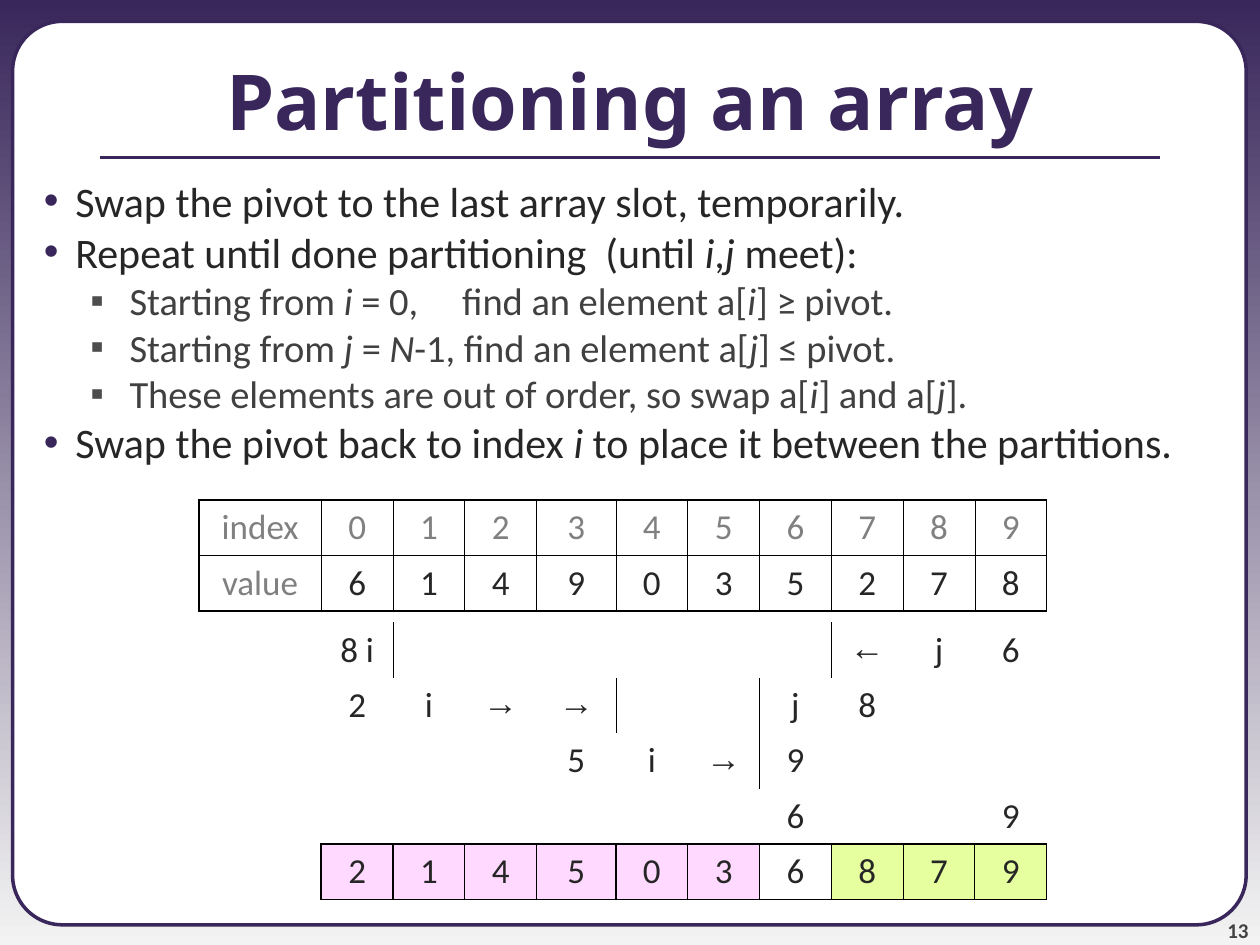
from dataclasses import dataclass
from typing import Any

from lxml import etree
from pptx import Presentation
from pptx.dml.color import RGBColor
from pptx.enum.shapes import MSO_CONNECTOR, MSO_SHAPE
from pptx.enum.text import MSO_ANCHOR, MSO_AUTO_SIZE, PP_ALIGN
from pptx.oxml.ns import qn
from pptx.util import Inches, Pt

CARD, LINE = MSO_SHAPE.ROUNDED_RECTANGLE, MSO_CONNECTOR.STRAIGHT
MID, LOW = MSO_ANCHOR.MIDDLE, MSO_ANCHOR.BOTTOM
CENTER, RIGHT = PP_ALIGN.CENTER, PP_ALIGN.RIGHT

PURPLE = RGBColor(0x39, 0x27, 0x5B)
PALE = RGBColor(0xF3, 0xF3, 0xF3)
WHITE = RGBColor(0xFF, 0xFF, 0xFF)
BLACK = RGBColor(0, 0, 0)
INK = RGBColor(0x26, 0x26, 0x26)
DARK = RGBColor(0x40, 0x40, 0x40)
SLATE = RGBColor(0x4D, 0x4D, 0x4D)
NUMBER = RGBColor(0x42, 0x42, 0x42)
GRAY = RGBColor(0x80, 0x80, 0x80)
PINK = RGBColor(0xFF, 0xD9, 0xFF)
LIME = RGBColor(0xE6, 0xFF, 0x9F)

BODY, HEAD, ARROW = "Calibri", "Noto Sans", "Arial"
THICK, MEDIUM, THIN = 1.08, 0.75, 0.45
WIDTHS = [0.97] + [0.57] * 3 + [0.63] + [0.57] * 6
ROW = 0.44


@dataclass
class Level:
    mark: str
    tint: RGBColor
    color: RGBColor
    size: float
    left: float
    hang: float
    gap: float


@dataclass
class Item:
    level: Level
    text: str  # odd parts between asterisks are italic
    tab: float = 0


@dataclass
class Edges:
    left: float = 0
    right: float = 0
    top: float = 0
    bottom: float = 0


MAIN = Level("•", PURPLE, INK, 24, 0.5, 0.25, 6)
SUB = Level("▪", SLATE, DARK, 22, 0.93, 0.31, 5.5)
ITEMS = [
    Item(MAIN, "Swap the pivot to the last array slot, temporarily."),
    Item(MAIN, "Repeat until done partitioning  (until *i*,*j* meet):"),
    Item(SUB, "Starting from *i* = 0,\tfind an element a[*i*] ≥ pivot.", 3.57),
    Item(SUB, "Starting from *j* = *N*-1, find an element a[*j*] ≤ pivot."),
    Item(SUB, "These elements are out of order, so swap a[*i*] and a[*j*]."),
    Item(MAIN, "Swap the pivot back to index *i* to place it between the partitions."),
]
ARRAY = [["index", *"0123456789"], ["value", *"6149035278"]]
STEPS = [
    ["", "8 i", "", "", "", "", "", "", "←", "j", "6"],
    ["", "2", "i", "→", "→", "", "", "j", "8", "", ""],
    ["", "", "", "", "5", "i", "→", "9", "", "", ""],
    ["", "", "", "", "", "", "", "6", "", "", "9"],
    ["", *"2145036879"],
]
BARS = {(0, 1), (0, 7), (1, 4), (1, 6), (2, 6)}  # cells with a bar on the right
LAST = len(WIDTHS) - 1
DONE = len(STEPS) - 1


def style(para: Any, size: float, color: RGBColor, face: str = BODY,
          bold: bool = False) -> None:
    font = para.font
    font.size, font.name, font.bold = Pt(size), face, bold
    font.color.rgb = color


def add_box(slide: Any, left: float, top: float, wide: float, high: float) -> Any:
    frame = slide.shapes.add_textbox(
        Inches(left), Inches(top), Inches(wide), Inches(high)).text_frame
    frame.word_wrap = True
    return frame


def add_mark(para: Any, item: Item) -> None:
    level = item.level
    props = para._p.get_or_add_pPr()
    props.set("marL", str(Inches(level.left)))
    props.set("indent", str(-Inches(level.hang)))
    tint = etree.SubElement(props, qn("a:buClr"))
    etree.SubElement(tint, qn("a:srgbClr"), val=str(level.tint))
    etree.SubElement(props, qn("a:buFont"), typeface=ARROW)
    etree.SubElement(props, qn("a:buChar"), char=level.mark)
    if item.tab:
        tabs = etree.SubElement(props, qn("a:tabLst"))
        etree.SubElement(tabs, qn("a:tab"), pos=str(Inches(item.tab)), algn="l")


def add_items(slide: Any, items: list[Item]) -> None:
    frame = add_box(slide, 0, 1.42, 10, 2.45)
    for num, item in enumerate(items):
        para = frame.add_paragraph() if num else frame.paragraphs[0]
        add_mark(para, item)
        para.line_spacing = 0.8
        if num:
            para.space_before = Pt(item.level.gap)
        style(para, item.level.size, item.level.color)
        for part, text in enumerate(item.text.split("*")):
            run = para.add_run()
            run.text = text
            if part % 2:
                run.font.italic = True


def draw_edges(cell: Any, edges: Edges) -> None:
    props = cell._tc.get_or_add_tcPr()
    for tag, width in (("a:lnL", edges.left), ("a:lnR", edges.right),
                       ("a:lnT", edges.top), ("a:lnB", edges.bottom)):
        line = etree.SubElement(props, qn(tag), w=str(Pt(width)))
        if width:
            fill = etree.SubElement(line, qn("a:solidFill"))
            etree.SubElement(fill, qn("a:srgbClr"), val=str(BLACK))
        else:
            etree.SubElement(line, qn("a:noFill"))


def array_edges(row: int, col: int) -> Edges:
    return Edges(THIN if col else THICK, THICK if col == LAST else THIN,
                 THIN if row else THICK, THICK if row else THIN)


def step_edges(row: int, col: int) -> Edges:
    if row == DONE:
        if col == 0:
            return Edges(right=THICK)
        return Edges(THICK if col == 1 else MEDIUM,
                     THICK if col == LAST else MEDIUM, THICK, THICK)
    return Edges(left=THIN if (row, col - 1) in BARS else 0,
                 right=THIN if (row, col) in BARS else 0,
                 bottom=THICK if row == DONE - 1 and col else 0)


def array_color(row: int, col: int) -> RGBColor:
    return INK if row and col else GRAY


def step_fill(row: int, col: int) -> RGBColor | None:
    if row < DONE or col in (0, 7):
        return None
    return PINK if col < 7 else LIME


def add_grid(slide: Any, top: float, rows: list[list[str]], edges: Any,
             color: Any, fill: Any) -> None:
    table = slide.shapes.add_table(
        len(rows), len(WIDTHS), Inches(1.58), Inches(top),
        Inches(sum(WIDTHS)), Inches(ROW * len(rows))).table
    table.first_row = table.horz_banding = False
    for col, width in enumerate(WIDTHS):
        table.columns[col].width = Inches(width)
    for row, texts in enumerate(rows):
        table.rows[row].height = Inches(ROW)
        for col, text in enumerate(texts):
            cell = table.cell(row, col)
            draw_edges(cell, edges(row, col))
            shade = fill(row, col)
            if shade is None:
                cell.fill.background()
            else:
                cell.fill.solid()
                cell.fill.fore_color.rgb = shade
            para = cell.text_frame.paragraphs[0]
            para.text, para.alignment = text, CENTER
            style(para, 20, color(row, col), ARROW if text in ("←", "→") else BODY)


def add_frame(slide: Any) -> None:
    # Background, card, title and rule
    back = slide.background.fill
    back.gradient()
    back.gradient_angle = 270
    for stop, color in zip(back.gradient_stops, (PURPLE, PALE)):
        stop.color.rgb = color
    card = slide.shapes.add_shape(
        CARD, Inches(0.1), Inches(0.17), Inches(9.79), Inches(7.17))
    card.adjustments[0] = 0.055
    card.shadow.inherit = False
    card.fill.solid()
    card.fill.fore_color.rgb = WHITE
    card.line.color.rgb, card.line.width = PURPLE, Pt(2)
    title = slide.shapes.title
    title.element.addprevious(card.element)
    title.left, title.top = Inches(0), Inches(0.17)
    title.width, title.height = Inches(10), Inches(1.25)
    frame = title.text_frame
    frame.text, frame.vertical_anchor = "Partitioning an array", MID
    frame.auto_size = MSO_AUTO_SIZE.NONE
    frame.paragraphs[0].alignment = CENTER
    style(frame.paragraphs[0], 44, PURPLE, HEAD, True)
    rule = slide.shapes.add_connector(
        LINE, Inches(0.79), Inches(1.25), Inches(9.21), Inches(1.25))
    rule.line.color.rgb, rule.line.width = PURPLE, Pt(2.25)
    etree.SubElement(rule.element.spPr, qn("a:effectLst"))
    # Slide number
    frame = add_box(slide, 9.08, 7.08, 0.83, 0.4)
    frame.margin_left = frame.margin_right = 0
    frame.margin_top = frame.margin_bottom = 0
    frame.text, frame.vertical_anchor = "13", LOW
    frame.paragraphs[0].alignment = RIGHT
    style(frame.paragraphs[0], 12, NUMBER, bold=True)


def main() -> None:
    deck = Presentation()
    deck.slide_width, deck.slide_height = Inches(10), Inches(7.5)
    slide = deck.slides.add_slide(deck.slide_layouts[5])
    add_frame(slide)
    add_items(slide, ITEMS)
    # Array before, then the swaps and the outcome
    add_grid(slide, 3.97, ARRAY, array_edges, array_color, lambda row, col: None)
    add_grid(slide, 4.94, STEPS, step_edges, lambda row, col: INK, step_fill)
    deck.save("out.pptx")


if __name__ == "__main__":
    main()
